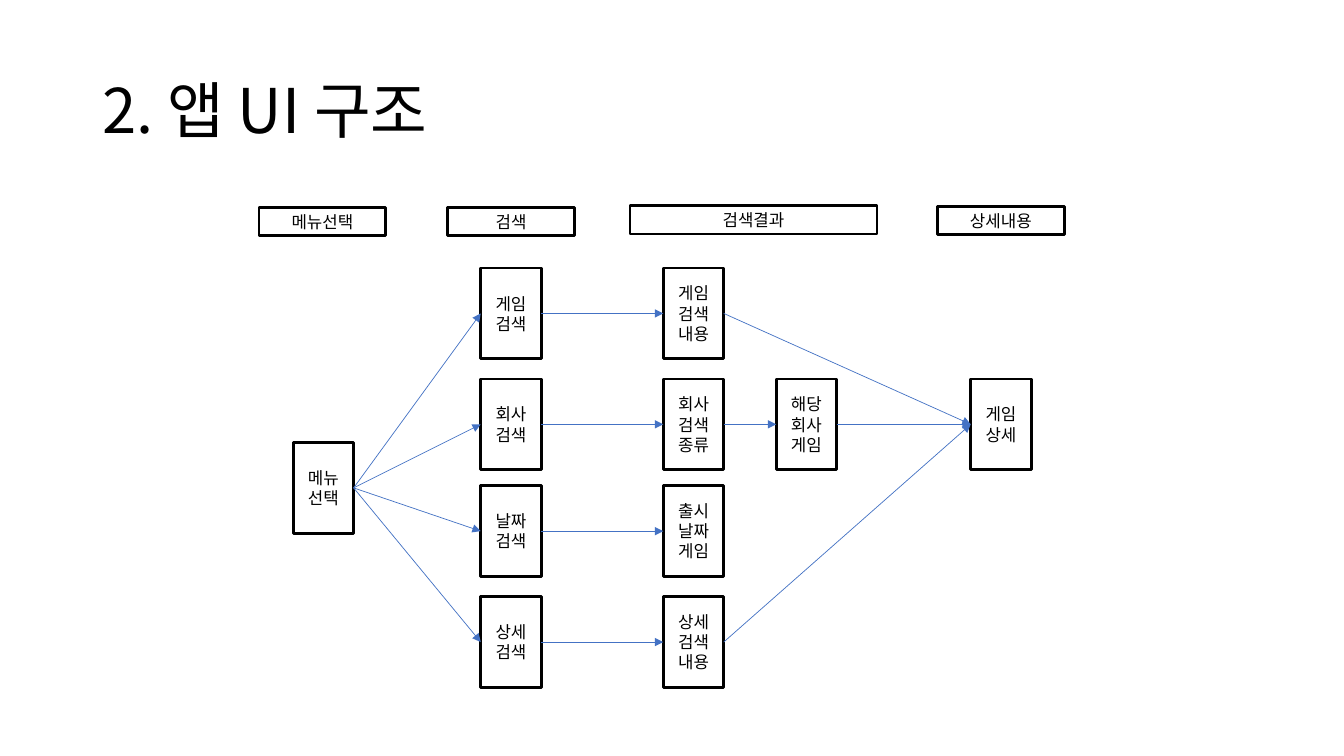
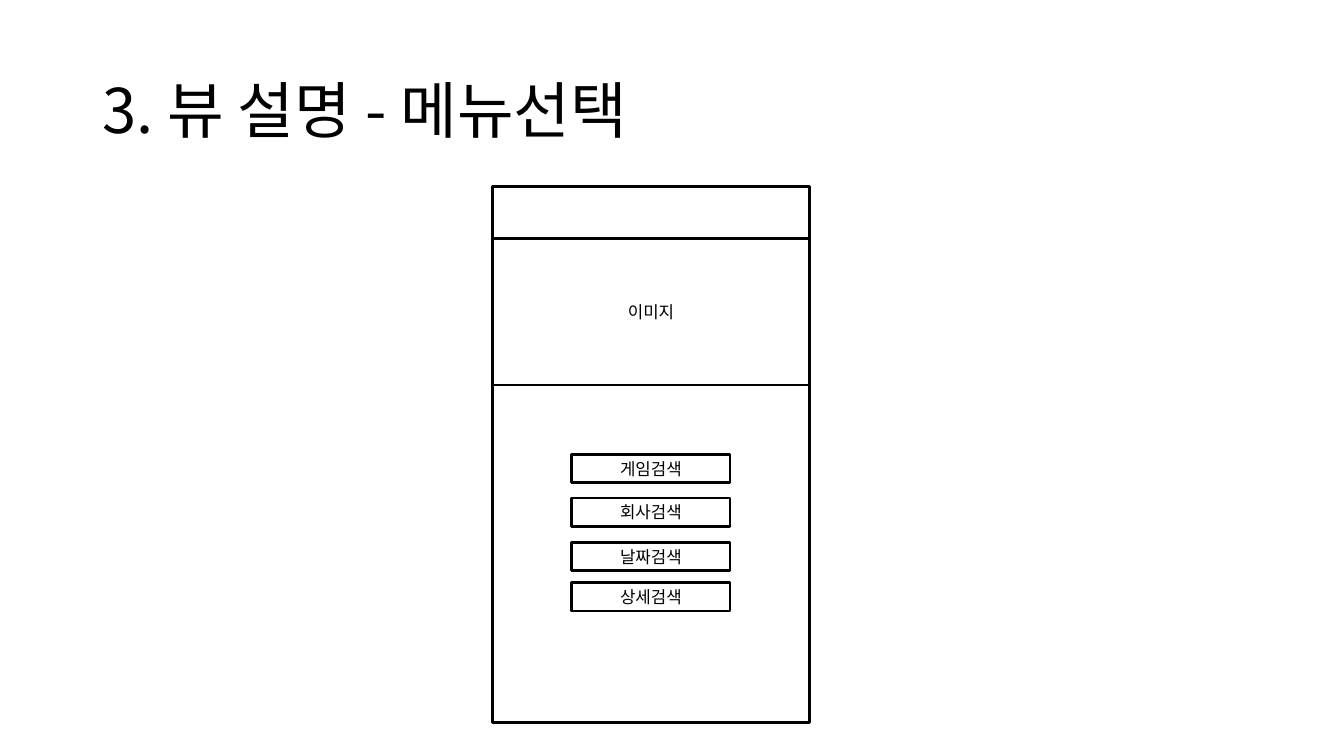
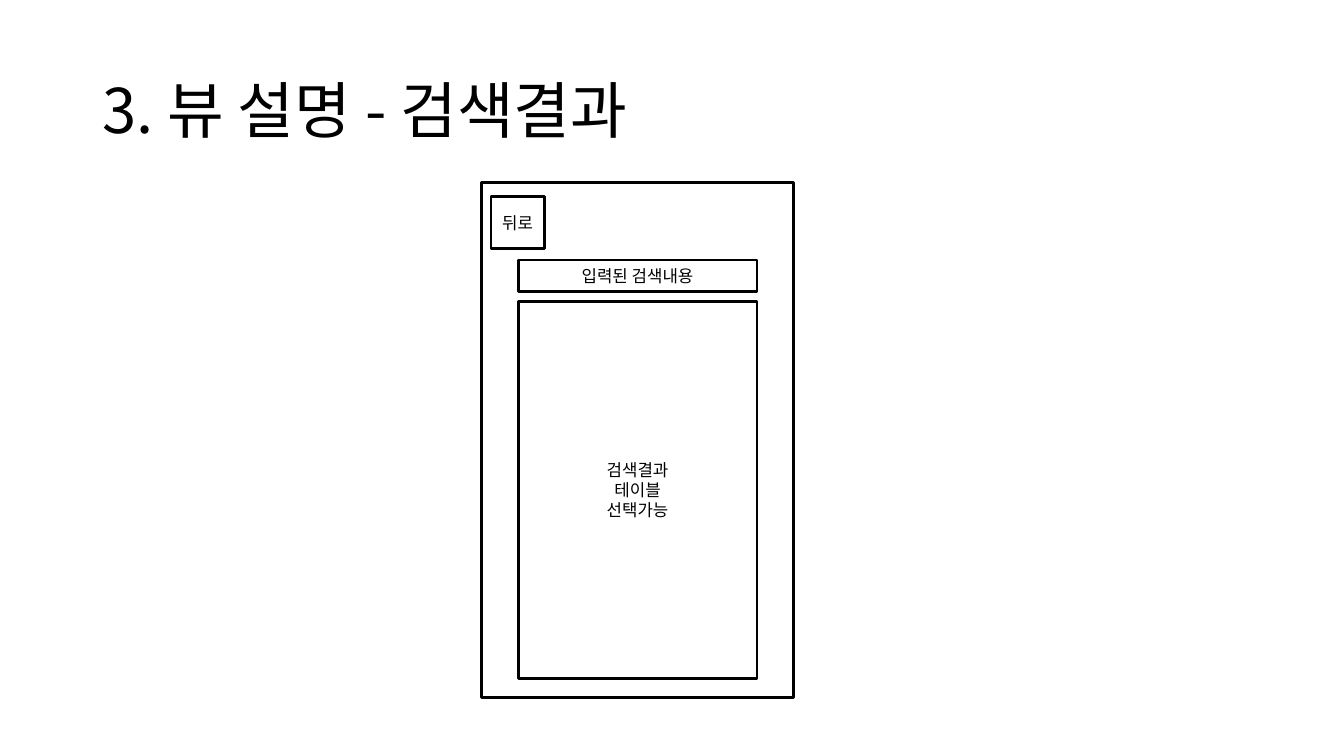
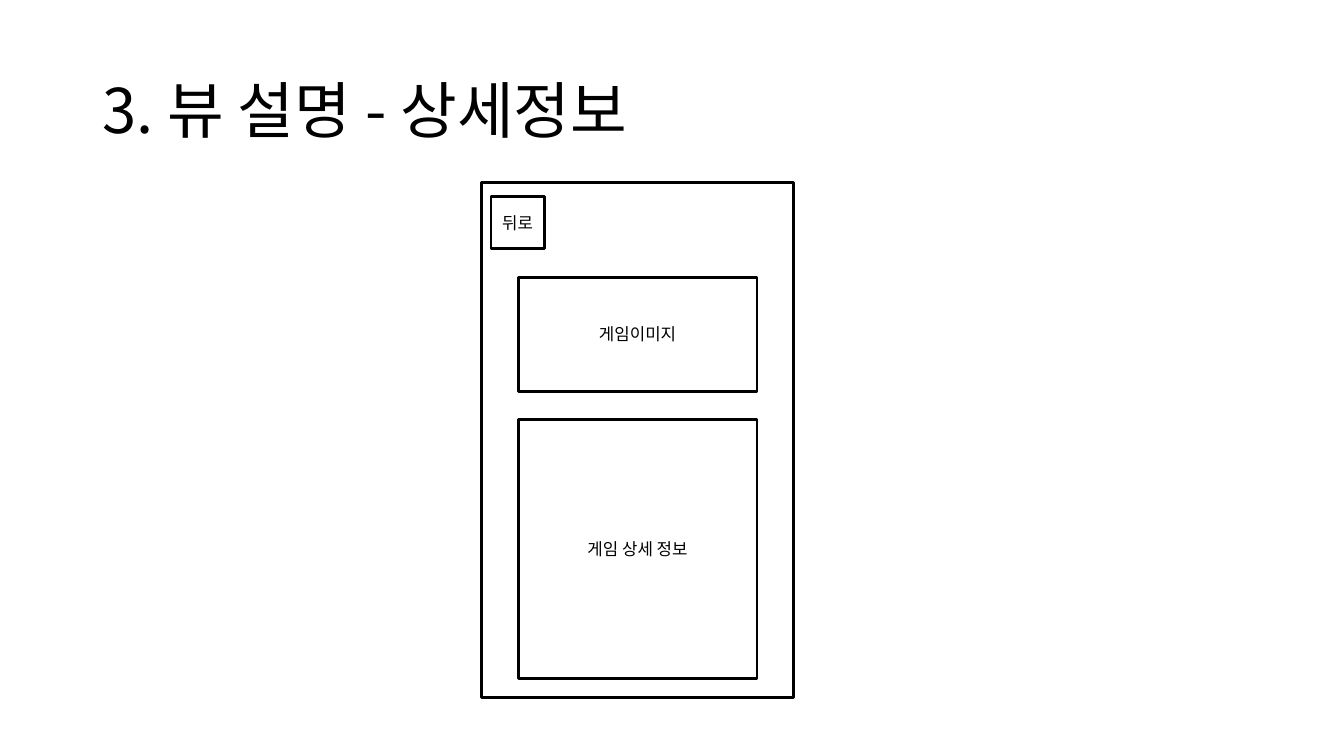
from dataclasses import dataclass

from lxml import etree
from pptx import Presentation
from pptx.dml.color import RGBColor
from pptx.enum.shapes import MSO_CONNECTOR, MSO_SHAPE
from pptx.enum.text import MSO_ANCHOR, PP_ALIGN
from pptx.oxml.ns import qn
from pptx.util import Pt

RECTANGLE = MSO_SHAPE.RECTANGLE
STRAIGHT = MSO_CONNECTOR.STRAIGHT
MIDDLE = MSO_ANCHOR.MIDDLE
LEFT, CENTER = PP_ALIGN.LEFT, PP_ALIGN.CENTER
LEFT_SITE, RIGHT_SITE = 1, 3


@dataclass(frozen=True)
class Theme:
    """Colours, type and line sizes shared by all slides."""

    font: str = "Noto Sans CJK KR"
    ink: RGBColor = RGBColor(0, 0, 0)
    paper: RGBColor = RGBColor(255, 255, 255)
    arrow: RGBColor = RGBColor(0x44, 0x72, 0xC4)
    title_size: float = 44
    label_size: float = 12
    outline: float = 2
    arrow_width: float = 0.5


@dataclass(frozen=True)
class Box:
    """A rectangle in points."""

    left: float
    top: float
    width: float
    height: float

    def inner(self, left, top, width, height):
        """Return a box placed relative to this one."""
        return Box(self.left + left, self.top + top, width, height)

    def band(self, top, width, height):
        """Return a box centred across this one."""
        return self.inner((self.width - width) / 2, top, width, height)

    def lengths(self):
        """Return left, top, width and height as lengths."""
        return [Pt(v) for v in (self.left, self.top, self.width, self.height)]


THEME = Theme()
TITLE = Box(66, 29, 828, 104)
FLOW = Box(185, 147, 576, 344)
MENU_SCREEN = Box(352, 133.2, 226, 383)
SCREEN = Box(344.2, 130.3, 222.5, 368)
NODE_WIDTH, NODE_HEIGHT = 43.2, 64.8
BAR_HEIGHT = 20.2
PANEL_WIDTH = 170.6

COLUMNS = {"menu": 24.4, "search": 158.4, "result": 288.8, "company": 369.4, "detail": 508.4}
ROWS = {"game": 44.5, "company": 123.7, "date": 200, "detail": 279.2, "menu": 169.1}
HEADERS = [
    ("메뉴선택", 0, 1.3, 90.7),
    ("검색", 134.7, 1.3, 90.7),
    ("검색결과", 265, 0, 176.4),
    ("상세내용", 484.6, 0.6, 90.7),
]
NODES = {
    ("menu", "menu"): "메뉴\n선택",
    ("search", "game"): "게임검색",
    ("search", "company"): "회사검색",
    ("search", "date"): "날짜\n검색",
    ("search", "detail"): "상세검색",
    ("result", "game"): "게임\n검색내용",
    ("result", "company"): "회사\n검색\n종류",
    ("result", "date"): "출시\n날짜\n게임",
    ("result", "detail"): "상세\n검색내용",
    ("company", "company"): "해당\n회사\n게임",
    ("detail", "company"): "게임상세",
}
SEARCHES = ("game", "company", "date", "detail")
END = ("detail", "company")
ARROWS = [
    *((("menu", "menu"), ("search", row)) for row in SEARCHES),
    *((("search", row), ("result", row)) for row in SEARCHES),
    (("result", "company"), ("company", "company")),
    *(((column, row), END) for column, row in
      (("result", "game"), ("company", "company"), ("result", "detail"))),
]
MENU_BUTTONS = {"게임검색": 191.5, "회사검색": 222.5, "날짜검색": 254.2, "상세검색": 283}


def apply(target, values):
    """Set each named attribute of the target."""
    for name, value in values.items():
        setattr(target, name, value)


def write(frame, text, size, align, spacing):
    """Write one paragraph per line in the theme font."""
    apply(frame, {"word_wrap": True, "vertical_anchor": MIDDLE, "text": text})
    for paragraph in frame.paragraphs:
        apply(paragraph, {"alignment": align, "line_spacing": spacing})
        for run in paragraph.runs:
            apply(run.font, {"name": THEME.font, "size": Pt(size)})
            run.font.color.rgb = THEME.ink
            east_asian = etree.SubElement(run.font._element, qn("a:ea"))
            east_asian.set("typeface", THEME.font)


def add_title(slide, box, text):
    """Place the slide title."""
    title = slide.shapes.add_textbox(*box.lengths())
    write(title.text_frame, text, THEME.title_size, LEFT, 0.9)


def add_block(slide, box, text=""):
    """Place an outlined block with a centred label."""
    block = slide.shapes.add_shape(RECTANGLE, *box.lengths())
    block.shadow.inherit = False
    block.fill.solid()
    block.fill.fore_color.rgb = THEME.paper
    block.line.color.rgb = THEME.ink
    block.line.width = Pt(THEME.outline)
    if text:
        write(block.text_frame, text, THEME.label_size, CENTER, 1.0)
    return block


def add_arrow(slide, source, target):
    """Join the right side of one block to the left side of another."""
    arrow = slide.shapes.add_connector(STRAIGHT, 0, 0, 0, 0)
    arrow.begin_connect(source, RIGHT_SITE)
    arrow.end_connect(target, LEFT_SITE)
    arrow.line.color.rgb = THEME.arrow
    arrow.line.width = Pt(THEME.arrow_width)
    head = etree.SubElement(arrow.line._get_or_add_ln(), qn("a:tailEnd"))
    head.set("type", "triangle")
    etree.SubElement(arrow._element.spPr, qn("a:effectLst"))


def draw_flow(slide, box):
    """Draw the screen flow under its column headers."""
    for text, left, top, width in HEADERS:
        add_block(slide, box.inner(left, top, width, BAR_HEIGHT), text)
    blocks = {}
    for (column, row), text in NODES.items():
        place = box.inner(COLUMNS[column], ROWS[row], NODE_WIDTH, NODE_HEIGHT)
        blocks[column, row] = add_block(slide, place, text)
    for source, target in ARROWS:
        add_arrow(slide, blocks[source], blocks[target])


def draw_menu_screen(slide, box):
    """Draw the menu screen with its image band and buttons."""
    add_block(slide, box)
    add_block(slide, box.band(37.4, box.width, 104.4), "이미지")
    for text, top in MENU_BUTTONS.items():
        add_block(slide, box.band(top, 113, BAR_HEIGHT), text)


def draw_screen(slide, box, panels):
    """Draw a screen with a back button and stacked panels."""
    add_block(slide, box)
    add_block(slide, box.inner(6.5, 10.1, 38.2, 37.4), "뒤로")
    for text, top, height in panels:
        add_block(slide, box.band(top, PANEL_WIDTH, height), text)


def draw_result_screen(slide, box):
    """Draw the search result screen."""
    draw_screen(slide, box, [
        ("입력된 검색내용", 55.4, 22.3),
        ("검색결과\n테이블\n선택가능", 85, 269.3),
    ])


def draw_detail_screen(slide, box):
    """Draw the game detail screen."""
    draw_screen(slide, box, [("게임이미지", 67.7, 81.4), ("게임 상세 정보", 169.2, 185)])


def main():
    """Build and save the presentation."""
    deck = Presentation()
    apply(deck, {"slide_width": Pt(960), "slide_height": Pt(540)})
    blank = deck.slide_layouts[6]
    for title, draw, box in (
        ("2. 앱 UI 구조", draw_flow, FLOW),
        ("3. 뷰 설명 - 메뉴선택", draw_menu_screen, MENU_SCREEN),
        ("3. 뷰 설명 - 검색결과", draw_result_screen, SCREEN),
        ("3. 뷰 설명 - 상세정보", draw_detail_screen, SCREEN),
    ):
        slide = deck.slides.add_slide(blank)
        add_title(slide, TITLE, title)
        draw(slide, box)
    deck.save("out.pptx")


main()
